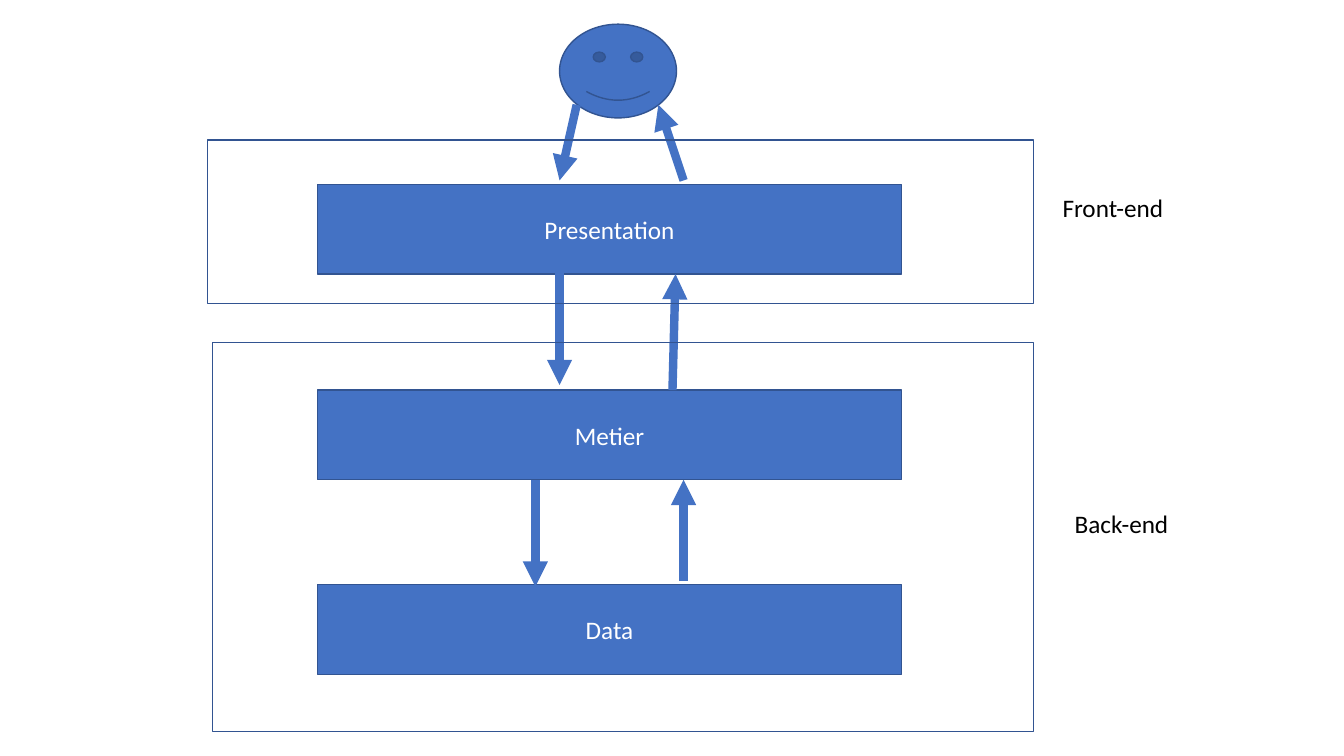
from dataclasses import dataclass

from lxml import etree
from pptx import Presentation
from pptx.dml.color import RGBColor
from pptx.enum.shapes import MSO_CONNECTOR, MSO_SHAPE
from pptx.enum.text import MSO_ANCHOR, MSO_AUTO_SIZE, PP_ALIGN
from pptx.oxml.ns import qn
from pptx.util import Inches, Pt

RECT, SMILEY = MSO_SHAPE.RECTANGLE, MSO_SHAPE.SMILEY_FACE
STRAIGHT = MSO_CONNECTOR.STRAIGHT
MIDDLE, CENTER = MSO_ANCHOR.MIDDLE, PP_ALIGN.CENTER
GROW = MSO_AUTO_SIZE.SHAPE_TO_FIT_TEXT


@dataclass(frozen=True)
class Theme:
    """Colours, font and sizes of the slide."""
    fill: RGBColor = RGBColor(0x44, 0x72, 0xC4)
    outline: RGBColor = RGBColor(0x32, 0x54, 0x91)
    light: RGBColor = RGBColor(0xFF, 0xFF, 0xFF)
    dark: RGBColor = RGBColor(0, 0, 0)
    font: str = "Calibri"
    size: int = 18
    border: int = 1
    arrow: int = 6


THEME = Theme()
LAYER_X, LAYER_W, LAYER_H = 3.15, 5.79, 0.89


def write(p, text, color):
    """Put text in a paragraph with the theme's font."""
    p.text = text
    p.font.name = THEME.font
    p.font.size = Pt(THEME.size)
    p.font.color.rgb = color


def add_box(slide, kind, box, filled=True):
    """Add an outlined preset shape, filled or hollow."""
    sp = slide.shapes.add_shape(kind, *map(Inches, box))
    sp.shadow.inherit = False
    if filled:
        sp.fill.solid()
        sp.fill.fore_color.rgb = THEME.fill
    else:
        sp.fill.background()
    sp.line.color.rgb = THEME.outline
    sp.line.width = Pt(THEME.border)
    return sp


def add_layer(slide, name, top):
    """Add one application layer with its centred name."""
    tf = add_box(slide, RECT, (LAYER_X, top, LAYER_W, LAYER_H)).text_frame
    tf.vertical_anchor = MIDDLE
    p = tf.paragraphs[0]
    p.alignment = CENTER
    write(p, name, THEME.light)


def add_arrow(slide, start, end):
    """Add a thick arrow from start to end."""
    line = slide.shapes.add_connector(STRAIGHT, *map(Inches, start + end))
    line.line.color.rgb = THEME.fill
    line.line.width = Pt(THEME.arrow)
    ln = line.line._get_or_add_ln()
    etree.SubElement(ln, qn("a:tailEnd"), type="triangle")
    etree.SubElement(ln.getparent(), qn("a:effectLst"))


def add_zone(slide, box, name, label_box):
    """Add a hollow frame around layers and its label at the side."""
    add_box(slide, RECT, box, filled=False)
    tf = slide.shapes.add_textbox(*map(Inches, label_box)).text_frame
    tf.word_wrap = False
    tf.auto_size = GROW
    write(tf.paragraphs[0], name, THEME.dark)


def build_architecture(slide):
    """Lay out the user, the three layers, their exchanges and the zones."""
    for name, top in (("Presentation", 1.83), ("Metier", 3.87), ("Data", 5.8)):
        add_layer(slide, name, top)
    for start, end in (((5.55, 2.7), (5.55, 3.82)),
                       ((6.67, 3.87), (6.7, 2.72)),
                       ((5.31, 4.76), (5.31, 5.82)),
                       ((6.78, 5.76), (6.78, 4.76))):
        add_arrow(slide, start, end)
    add_box(slide, SMILEY, (5.55, 0.24, 1.16, 0.93))
    add_arrow(slide, (5.72, 1.04), (5.55, 1.79))
    add_arrow(slide, (6.78, 1.79), (6.53, 1.04))
    add_zone(slide, (2.06, 1.39, 8.19, 1.62),
             "Front-end", (10.44, 1.86, 1.22, 0.4))
    add_zone(slide, (2.11, 3.4, 8.14, 3.86),
             "Back-end", (10.56, 4.99, 1.15, 0.4))


prs = Presentation()
prs.slide_width, prs.slide_height = Inches(13.33), Inches(7.5)
build_architecture(prs.slides.add_slide(prs.slide_layouts[6]))
prs.save("out.pptx")
